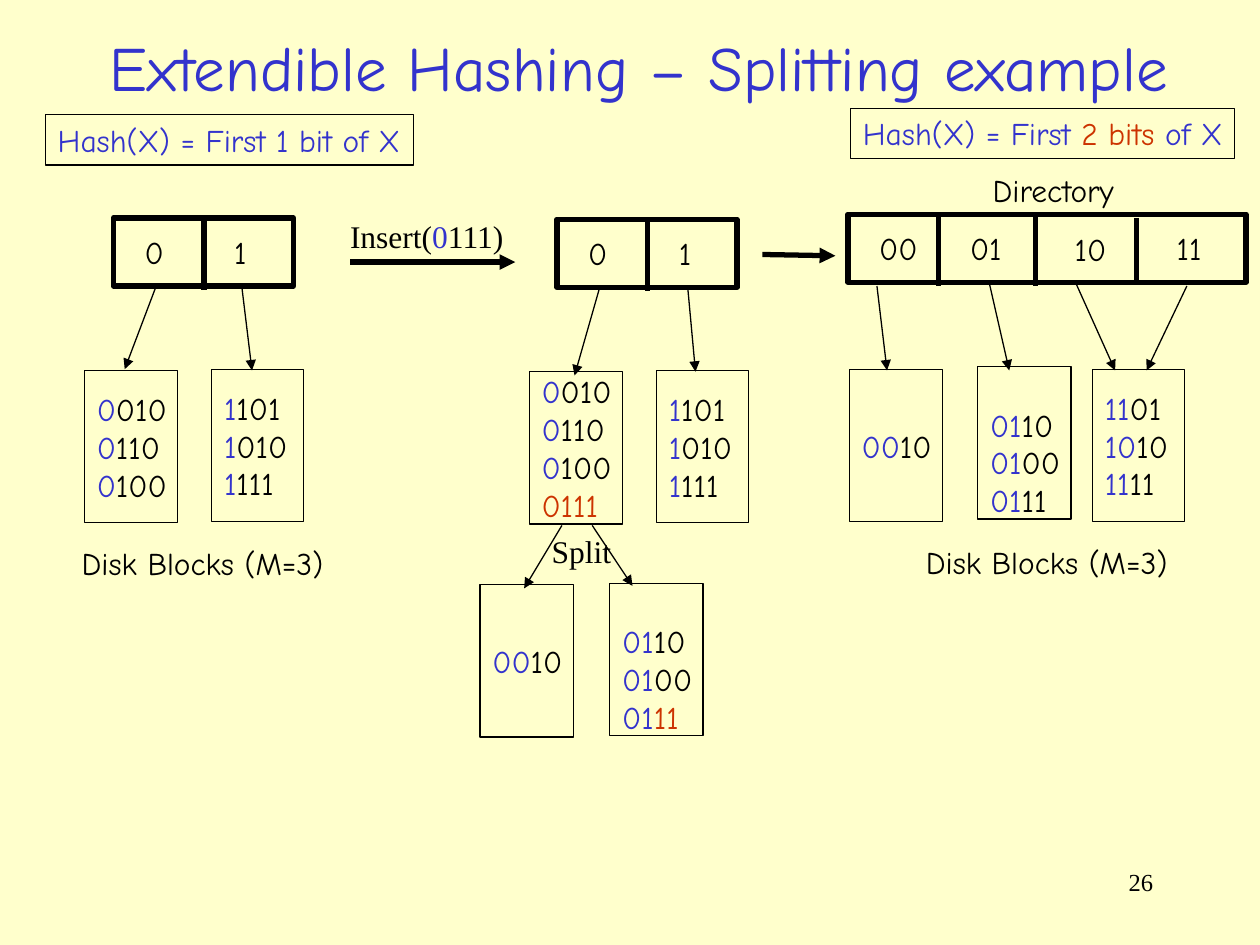
from lxml import etree
from pptx import Presentation
from pptx import util as u
from pptx.dml.color import RGBColor
from pptx.enum import shapes, text
from pptx.oxml import ns

PX = 9144  # 100 px to the inch
COMIC, TIMES = "Comic Neue", "Times New Roman"
BLACK, BLUE, RED = "000000", "3333CC", "CC3300"
rgb = RGBColor.from_string

prs = Presentation()
prs.slide_width, prs.slide_height = 1000 * PX, 750 * PX
s = prs.slides.add_slide(prs.slide_layouts[6])
s.background.fill.solid()
s.background.fill.fore_color.rgb = rgb("FFFFCC")


def box(x, y, w, h, paras=(), border=0, font=COMIC, size=18, align="LEFT",
        anchor="TOP", wrap=False):
    """Text box, or a rectangle if it has a border; paras are lists of (text, colour)."""
    at = [v * PX for v in (x, y, w, h)]
    if border:
        sp = s.shapes.add_shape(shapes.MSO_SHAPE.RECTANGLE, *at)
        sp.shadow.inherit = False
        sp.fill.background()
        sp.line.color.rgb = rgb(BLACK)
        sp.line.width = u.Pt(border)
    else:
        sp = s.shapes.add_textbox(*at)
    tf = sp.text_frame
    tf.word_wrap = wrap
    tf.vertical_anchor = text.MSO_ANCHOR[anchor]
    if anchor == "BOTTOM":
        tf.margin_bottom = 0
    for i, runs in enumerate(paras):
        p = tf.paragraphs[0] if i == 0 else tf.add_paragraph()
        p.alignment = text.PP_ALIGN[align]
        for words, colour in runs:
            r = p.add_run()
            r.text = words
            r.font.name, r.font.size = font, u.Pt(size)
            r.font.color.rgb = rgb(colour)


def line(x1, y1, x2, y2, width=0.75, arrow=True):
    c = s.shapes.add_connector(shapes.MSO_CONNECTOR.STRAIGHT,
                               x1 * PX, y1 * PX, x2 * PX, y2 * PX)
    c.line.color.rgb = rgb(BLACK)
    c.line.width = u.Pt(width)
    if arrow:
        etree.SubElement(c.line._get_or_add_ln(), ns.qn("a:tailEnd"), type="triangle")
    etree.SubElement(c._element.spPr, ns.qn("a:effectLst"))


# Page number, title and hash functions
box(717, 683, 208, 50, [[("26", BLACK)]], font=TIMES, size=14, align="RIGHT", wrap=True)
box(30, 15, 954, 76, [[("Extendible Hashing – Splitting example", BLUE)]],
    size=36, align="CENTER", anchor="MIDDLE", wrap=True)
box(36, 91, 292, 40, [[("Hash(X) = First 1 bit of X", BLUE)]], border=0.75)
box(675, 86, 305, 40, [[("Hash(X) = First ", BLUE), ("2 bits", RED), (" of X", BLUE)]],
    border=0.75)

# Directories: frame, dividers (x, top, bottom), entries (label, x, y, width)
directories = [
    ((90, 173, 143), [(162, 173, 230)], [("0", 105, 180, 35), ("1", 176, 180, 30)]),
    ((442, 174, 143), [(514, 174, 231)], [("0", 457, 181, 35), ("1", 529, 181, 30)]),
    ((673, 170, 316), [(745, 170, 227), (822, 170, 227), (902, 173, 224)],
     [("00", 688, 177, 54), ("01", 760, 177, 48), ("10", 843, 178, 48), ("11", 924, 177, 42)]),
]
for (x, y, w), dividers, entries in directories:
    box(x, y, w, 54, border=3)
    for dx, top, bottom in dividers:
        line(dx, top, dx, bottom, 3, arrow=False)
    for label, ex, ey, ew in entries:
        box(ex, ey, ew, 40, [[(label, BLACK)]])

# Disk blocks: x, y, width, hashed bits, keys, bits of the inserted key before its red part
LOW, HIGH = ["0010", "0110", "0100"], ["1101", "1010", "1111"]
SPLIT = ["0110", "0100", "0111"]
NEW = "0111"
blocks = [
    (67, 294, 74, 1, LOW, None),
    (168, 293, 73, 1, HIGH, None),
    (420, 295, 74, 1, LOW + [NEW], 0),
    (521, 294, 73, 1, HIGH, None),
    (381, 464, 74, 2, LOW[:1], None),
    (484, 463, 74, 2, SPLIT, 2),
    (674, 293, 74, 2, LOW[:1], None),
    (776, 291, 74, 2, SPLIT, None),
    (867, 293, 73, 2, HIGH, None),
]
for x, y, w, bits, keys, red_from in blocks:
    paras = []
    for key in keys:
        is_red = key == NEW and red_from is not None
        n = red_from if is_red else bits
        runs = [(key[:n], BLUE), (key[n:], RED if is_red else BLACK)]
        paras.append([run for run in runs if run[0]])
    box(x, y, w, 121, paras, border=0.75, anchor="BOTTOM" if keys is SPLIT else "MIDDLE")

# Pointers from directories to blocks, and from the full block to its halves
for ends in [(124, 227, 99, 293), (192, 228, 200, 294),
             (476, 228, 456, 298), (546, 230, 552, 295),
             (446, 417, 416, 467), (470, 417, 502, 465),
             (696, 227, 704, 294), (785, 224, 801, 294),
             (854, 225, 885, 294), (942, 227, 910, 294)]:
    line(*ends)

# Steps between the stages
line(278, 208, 409, 208, 3)
line(605, 202, 663, 203, 3)
box(268, 167, 143, 40, [[("Insert(", BLACK), ("0", BLUE), ("111)", BLACK)]], font=TIMES)
box(428, 417, 67, 40, [[("Split", BLACK)]], font=TIMES)

# Captions
for words, x, y, w in [("Directory", 778, 131, 117),
                       ("Disk Blocks (M=3)", 55, 427, 212),
                       ("Disk Blocks (M=3)", 725, 426, 212)]:
    box(x, y, w, 40, [[(words, BLACK)]])

prs.save("out.pptx")
